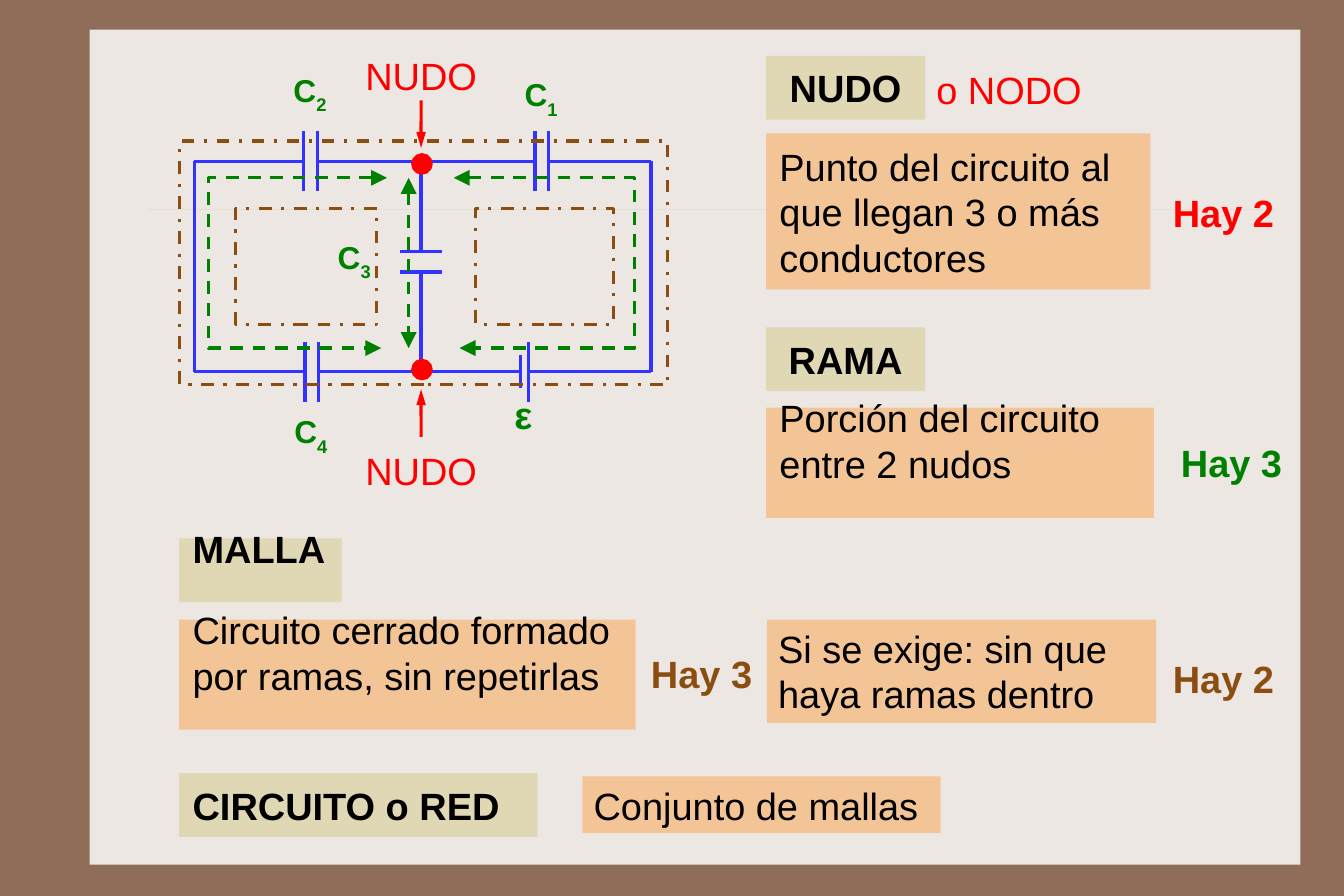
import pptx
import pptx.util
import pptx.dml.color
import pptx.enum.dml
import pptx.enum.shapes
import pptx.enum.text
import pptx.oxml

Cm = pptx.util.Cm
Shape = pptx.enum.shapes.MSO_SHAPE
Dash = pptx.enum.dml.MSO_LINE
Anchor = pptx.enum.text.MSO_ANCHOR
Align = pptx.enum.text.PP_ALIGN

COLOURS = {
    "frame": "906D58", "panel": "EDE7E3", "rule": "E4DFD0",
    "term": "E0D7B5", "definition": "F3C495", "text": "000000",
    "wire": "3333FF", "branch": "008000", "mesh": "8C4E10", "node": "FF0000",
}
NAMESPACE = 'xmlns:a="http://schemas.openxmlformats.org/drawingml/2006/main"'
TERM_HEIGHT = 1.42
INSETS = (0.3, 0.2, 0.3, 0.2)
RAISED = (0.3, 0.2, 0.3, 1.2)  # lifts the text above the middle of its box
PLAIN = (0.25, 0.13, 0.25, 0.13)
SPACIOUS = (0.25, 0.23, 0.25, 0.23)


def colour(name):
    return pptx.dml.color.RGBColor.from_string(COLOURS[name])


def set_line(shape, name, width=2, dash=None, ends=(), head_width="med"):
    """Style an outline; ends lists "headEnd" and "tailEnd" for arrowheads."""
    shape.line.color.rgb = colour(name)
    formats = {"width": pptx.util.Pt(width), "dash_style": dash}
    for key, value in formats.items():
        setattr(shape.line, key, value)
    for end in ends:
        shape.line._get_or_add_ln().append(pptx.oxml.parse_xml(
            f'<a:{end} {NAMESPACE} type="triangle" w="{head_width}" len="lg"/>'))


def add_line(slide, start, end, name, **style):
    connector = slide.shapes.add_connector(
        pptx.enum.shapes.MSO_CONNECTOR.STRAIGHT,
        *(Cm(value) for value in (*start, *end)))
    set_line(connector, name, **style)
    connector._element.spPr.append(
        pptx.oxml.parse_xml(f"<a:effectLst {NAMESPACE}/>"))
    return connector


def add_block(slide, box, fill=None, kind=Shape.RECTANGLE):
    shape = slide.shapes.add_shape(kind, *map(Cm, box))
    shape.shadow.inherit = False
    if fill:
        shape.fill.solid()
        shape.fill.fore_color.rgb = colour(fill)
    else:
        shape.fill.background()
    shape.line.fill.background()
    return shape


def write(shape, text, name="text", size=24, bold=False, align=Align.LEFT,
          anchor=Anchor.MIDDLE, insets=INSETS, wrap=True, subscript=""):
    frame = shape.text_frame
    frame.text = text
    margins = dict(zip(("margin_left", "margin_top", "margin_right",
                        "margin_bottom"), map(Cm, insets)))
    formats = {"word_wrap": wrap, "vertical_anchor": anchor, **margins}
    for key, value in formats.items():
        setattr(frame, key, value)
    if subscript:
        run = frame.paragraphs[0].add_run()
        run.text = subscript
        run._r.get_or_add_rPr().set("baseline", "-30000")
    font_formats = {"name": "Arial", "size": pptx.util.Pt(size), "bold": bold}
    for paragraph in frame.paragraphs:
        paragraph.alignment = align
        for run in paragraph.runs:
            run.font.color.rgb = colour(name)
            for key, value in font_formats.items():
                setattr(run.font, key, value)


def add_label(slide, box, text, name, **style):
    label = slide.shapes.add_textbox(*map(Cm, box))
    write(label, text, name, **{"wrap": False, **style})
    return label


def add_term(slide, left, top, width, text, **style):
    term = add_block(slide, (left, top, width, TERM_HEIGHT), "term")
    write(term, text, bold=True, **style)


def add_definition(slide, box, text, **style):
    write(add_block(slide, box, "definition"), text, **style)


def add_count(slide, left, top, text, name):
    add_label(slide, (left, top, 2.7, TERM_HEIGHT), text, name, bold=True,
              insets=(0.2,) * 4)


def add_backdrop(slide):
    slide.background.fill.solid()
    slide.background.fill.fore_color.rgb = colour("frame")
    add_block(slide, (2, 0.66, 27.03, 18.64), "panel")
    add_line(slide, (3.33, 4.67), (28.5, 4.67), "rule", width=0.25)


def add_circuit(slide, left, top, width, height):
    """Draw the circuit; the box is the outer loop of wire."""
    def at(x, y):
        return left + x, top + y

    def wire(start, end):
        add_line(slide, at(*start), at(*end), "wire")

    middle, plate = 5.06, 0.67
    rows = {0: [(2.44, 2.74, plate), (7.6, 7.9, plate)],
            height: [(2.47, 2.77, plate), (7.27, 7.45, 0.37)]}
    for y, gaps in rows.items():
        start = 0
        for first, second, half in gaps:
            wire((start, y), (first, y))
            wire((first, y - half), (first, y + half))
            wire((second, y - plate), (second, y + plate))
            start = second
        wire((start, y), (width, y))
    for x in (0, width):
        wire((x, 0), (x, height))
    for outer, inner in ((0, 2.01), (height, 2.47)):
        wire((middle, outer), (middle, inner))
        wire((middle - 0.47, inner), (middle + 0.47, inner))

    for x, y, index in ((1.96, -2.15, "2"), (7.12, -2.05, "1"),
                        (2.95, 1.58, "3"), (1.98, 5.47, "4")):
        add_label(slide, (*at(x, y), 1.4, 1.3), "C", "branch", size=20,
                  bold=True, subscript=index, anchor=Anchor.TOP, insets=PLAIN)
    add_label(slide, (*at(6.89, 5.14), 0.94, 1.02), "ε", "branch", bold=True,
              insets=PLAIN)

    dashed = {"dash": Dash.DASH, "ends": ("headEnd", "tailEnd"),
              "head_width": "lg"}
    upper, lower = 0.37, 4.17
    for upper_tip, side, lower_tip in ((4.3, 0.31, 4.17), (5.79, 9.83, 5.92)):
        corners = ((upper_tip, upper), (side, upper), (side, lower),
                   (lower_tip, lower))
        points = [tuple(map(Cm, at(*corner))) for corner in corners]
        builder = slide.shapes.build_freeform(*points[0])
        builder.add_line_segments(points[1:], close=False)
        branch = builder.convert_to_shape()
        branch.shadow.inherit = False
        branch.fill.background()
        set_line(branch, "branch", **dashed)
    add_line(slide, at(4.78, upper), at(4.78, lower), "branch", **dashed)

    for x, y, *size in ((0.92, 1.05, 3.15, 2.59), (6.28, 1.05, 3.07, 2.59),
                        (-0.33, -0.45, 10.9, 5.44)):
        set_line(add_block(slide, (*at(x, y), *size)), "mesh",
                 dash=Dash.DASH_DOT)

    diameter, label_width = 0.41, 3.6
    for label_top, side, tail, tip, centre in ((-2.66, 2, -1.36, -0.3, 0.06),
                                               (6.15, 0, 6.15, 5.09, 4.65)):
        corner = at(middle - label_width / 2, label_top)
        label = add_label(slide, (*corner, label_width, 1.3), "NUDO", "node",
                          align=Align.CENTER, anchor=Anchor.TOP,
                          insets=SPACIOUS)
        arrow = add_line(slide, at(middle, tail), at(middle, tip), "node",
                         ends=("tailEnd",))
        arrow.begin_connect(label, side)
        corner = at(middle + 0.02 - diameter / 2, centre - diameter / 2)
        node = add_block(slide, (*corner, diameter, diameter), "node",
                         Shape.OVAL)
        set_line(node, "node")


def add_node_and_branch(slide, left, top):
    add_term(slide, left, top, 3.55, "NUDO", align=Align.CENTER)
    add_label(slide, (left + 3.55, top, 3.75, 1.3), "o NODO", "node",
              anchor=Anchor.TOP, insets=SPACIOUS)
    add_definition(slide, (left, top + 1.73, 8.58, 3.48),
                   "Punto del circuito al que llegan 3 o más conductores")
    add_count(slide, left + 8.88, top + 2.77, "Hay 2", "node")
    add_term(slide, left, top + 6.06, 3.55, "RAMA", align=Align.CENTER)
    add_definition(slide, (left, top + 7.85, 8.66, 2.46),
                   "Porción del circuito\nentre 2 nudos", insets=RAISED)
    add_count(slide, left + 9.06, top + 8.35, "Hay 3", "branch")


def add_mesh_and_network(slide, left, top):
    plain = {"anchor": Anchor.TOP, "insets": PLAIN}
    add_term(slide, left, top, 3.63, "MALLA", insets=RAISED)
    add_definition(slide, (left, top + 1.81, 10.19, 2.46),
                   "Circuito cerrado formado\npor ramas, sin repetirlas",
                   insets=RAISED)
    add_count(slide, left + 10.33, top + 2.31, "Hay 3", "mesh")
    add_definition(slide, (left + 13.12, top + 1.81, 8.69, 2.31),
                   "Si se exige: sin que haya ramas dentro", **plain)
    add_count(slide, left + 21.98, top + 2.41, "Hay 2", "mesh")
    add_term(slide, left, top + 5.24, 8, "CIRCUITO o RED")
    add_definition(slide, (left + 9, top + 5.31, 8, 1.27),
                   "Conjunto de mallas", **plain)


def main():
    presentation = pptx.Presentation()
    presentation.slide_width, presentation.slide_height = Cm(30), Cm(20)
    slide = presentation.slides.add_slide(presentation.slide_layouts[6])
    add_backdrop(slide)
    add_circuit(slide, 4.34, 3.6, 10.19, 4.7)
    add_node_and_branch(slide, 17.1, 1.25)
    add_mesh_and_network(slide, 4, 12.02)
    presentation.save("out.pptx")


if __name__ == "__main__":
    main()
